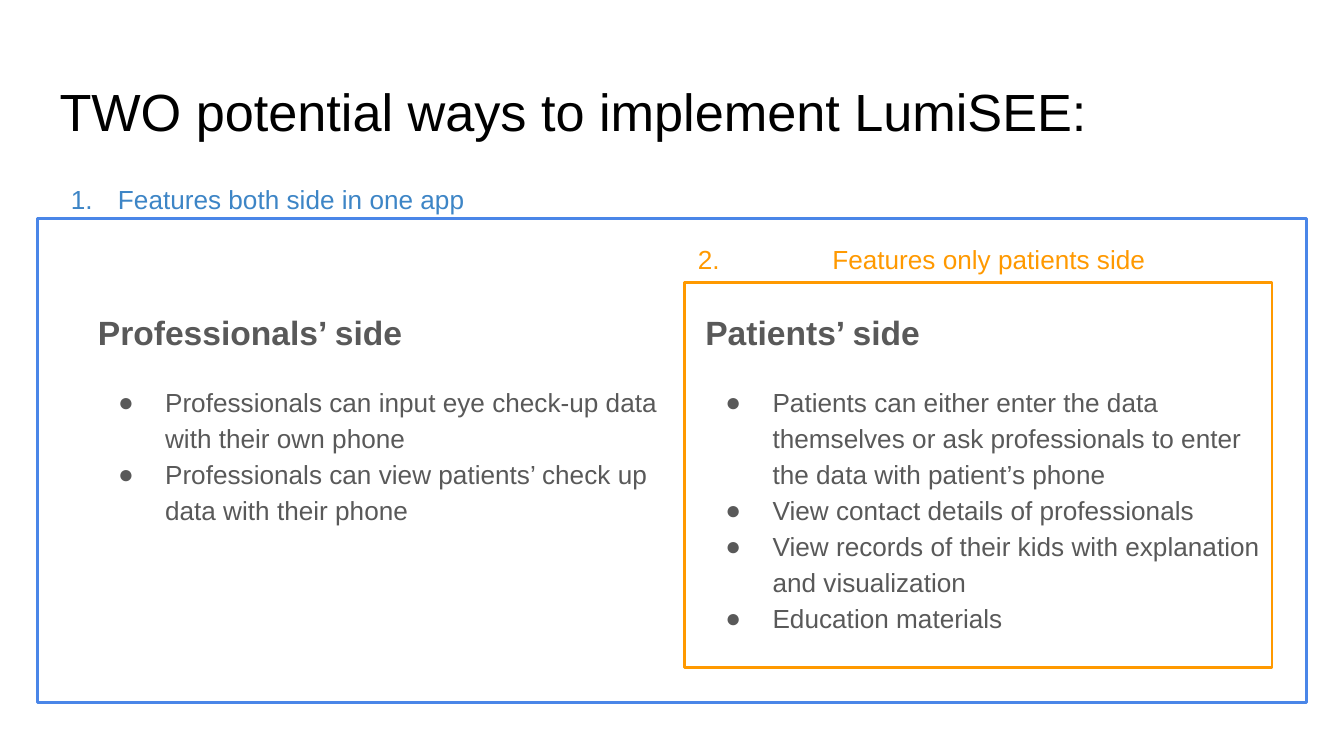
"""Build a slide that compares two ways to implement an eye check-up app."""
from lxml.etree import SubElement
from pptx import Presentation
from pptx.dml.color import RGBColor
from pptx.enum.shapes import MSO_SHAPE as Shape
from pptx.oxml.ns import qn
from pptx.util import Pt

PX = 4572
GREY, BLUE, ORANGE = "595959", "3D85C6", "FF9900"


def color(value):
    return RGBColor.from_string(value)


def add_text(box, lines, size=14, fill=GREY, bold=False, bullet=None,
             spacing=1.15, before=0, after=0, tab=None):
    frame = box.text_frame
    frame.word_wrap = True
    frame.margin_left = frame.margin_right = 20 * PX
    frame.margin_top = frame.margin_bottom = 20 * PX
    for index, line in enumerate(lines):
        paragraph = frame.add_paragraph() if frame.text else frame.paragraphs[0]
        properties = paragraph._p.get_or_add_pPr()
        if bullet:
            properties.set("marL", str(100 * PX))
            properties.set("indent", str(-70 * PX))
            bullet_color = SubElement(properties, qn("a:buClr"))
            SubElement(bullet_color, qn("a:srgbClr"), val=fill)
            SubElement(properties, qn("a:buSzPts"), val=str(size * 100))
            SubElement(properties, qn("a:buFont"), typeface="Arial")
            if bullet == "number":
                SubElement(properties, qn("a:buAutoNum"), type="arabicPeriod")
            else:
                SubElement(properties, qn("a:buChar"), char=bullet)
        if tab:
            tabs = SubElement(properties, qn("a:tabLst"))
            SubElement(tabs, qn("a:tab"), pos=str(tab * PX), algn="l")
        paragraph.line_spacing = spacing
        paragraph.space_before = Pt(before if index == 0 else 0)
        paragraph.space_after = Pt(after)
        run = paragraph.add_run()
        run.text = line
        run.font.name = "Arial"
        run.font.size = Pt(size)
        run.font.bold = bold
        run.font.color.rgb = color(fill)


presentation = Presentation()
presentation.slide_width, presentation.slide_height = 2000 * PX, 1125 * PX
slide = presentation.slides.add_slide(presentation.slide_layouts[6])
shapes = slide.shapes

frames = [((56, 325, 1888, 720), "4A86E8"), ((1019, 420, 874, 574), ORANGE)]
for bounds, outline in frames:
    shape = shapes.add_shape(Shape.RECTANGLE, *(value * PX for value in bounds))
    shape.shadow.inherit = False
    shape.fill.background()
    shape.line.color.rgb = color(outline)
    shape.line.width = Pt(1.5)

labels = [
    ((69, 98, 1864, 126), "TWO potential ways to implement LumiSEE:",
     dict(size=28, fill="000000", spacing=1.0)),
    ((56, 246, 794, 70), "Features both side in one app",
     dict(fill=BLUE, bullet="number")),
    ((1019, 335, 794, 70), "2.\tFeatures only patients side",
     dict(fill=ORANGE, after=16, tab=200)),
]
for bounds, text, style in labels:
    box = shapes.add_textbox(*(value * PX for value in bounds))
    add_text(box, [text], **style)

sides = [
    ((126, 435, 904, 574), "Professionals’ side", [
        "Professionals can input eye check-up data with their own phone",
        "Professionals can view patients’ check up data with their phone",
    ]),
    ((1030, 435, 874, 536), "Patients’ side", [
        "Patients can either enter the data themselves or ask professionals "
        "to enter the data with patient’s phone",
        "View contact details of professionals",
        "View records of their kids with explanation and visualization",
        "Education materials",
    ]),
]
for bounds, heading, points in sides:
    box = shapes.add_textbox(*(value * PX for value in bounds))
    add_text(box, [heading], size=18, bold=True)
    add_text(box, points, bullet="●", before=16)

presentation.save("out.pptx")
